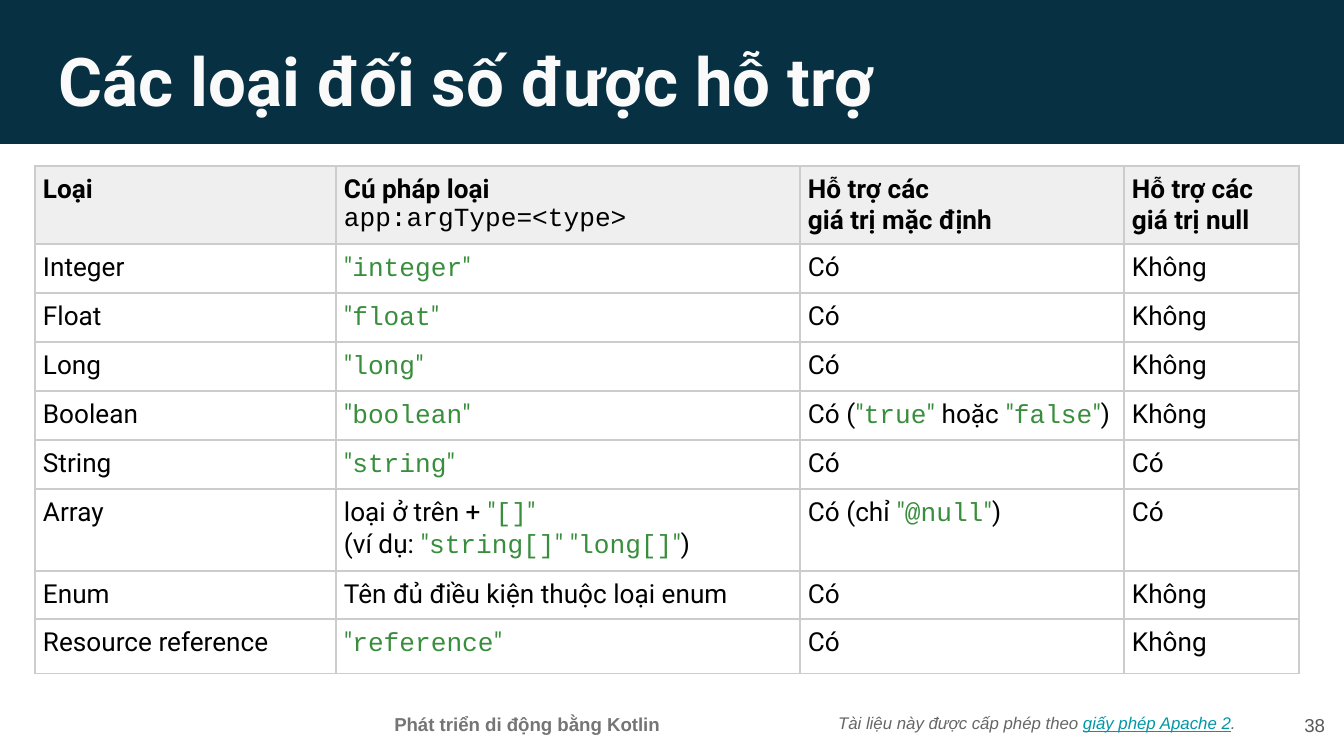
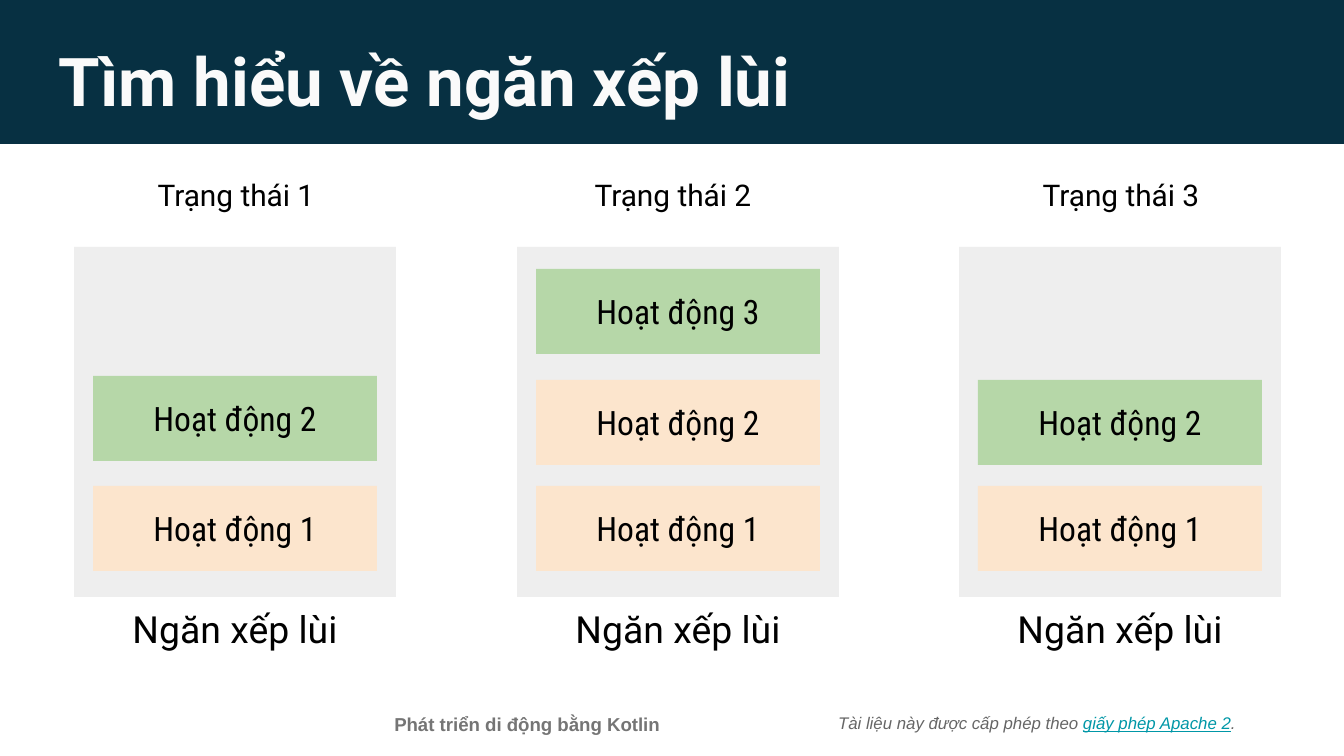
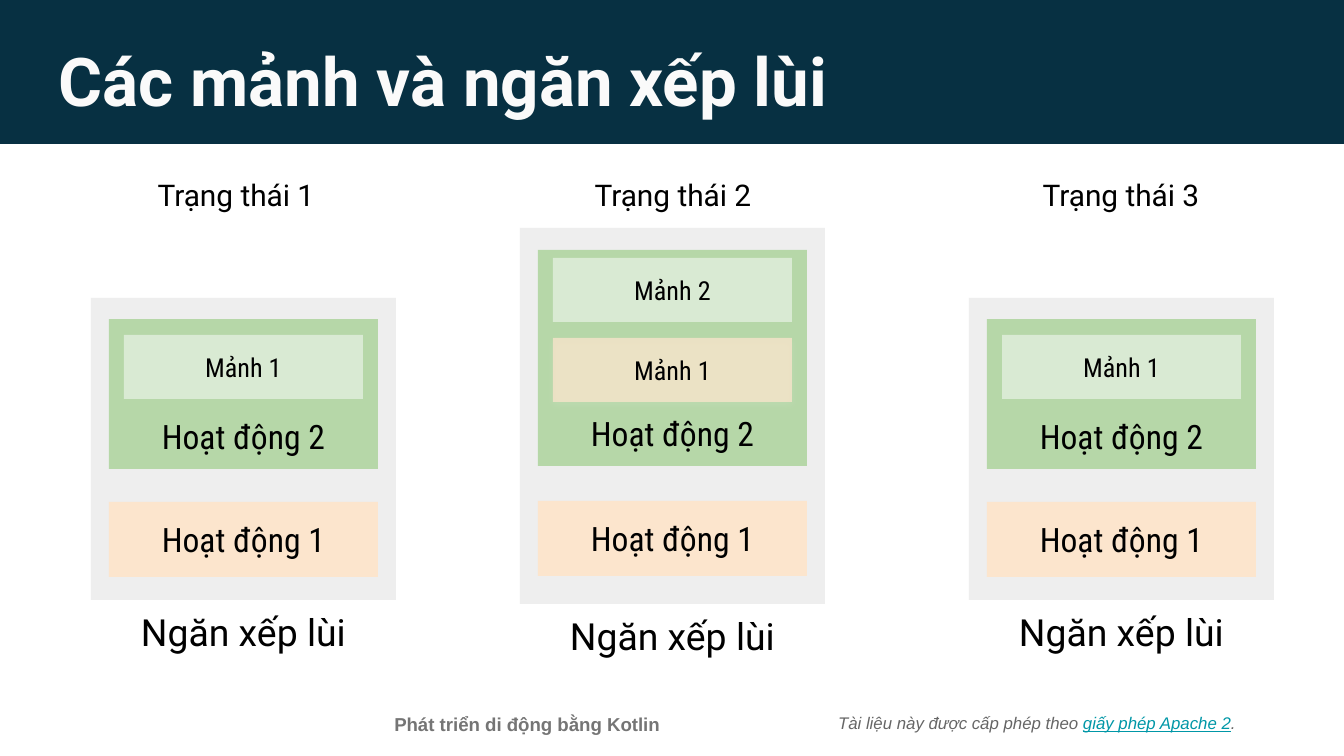
from lxml import etree
from pptx import Presentation
from pptx.dml.color import RGBColor
from pptx.enum.shapes import MSO_SHAPE
from pptx.enum.text import MSO_ANCHOR, MSO_AUTO_SIZE, PP_ALIGN
from pptx.oxml import parse_xml
from pptx.oxml.ns import nsdecls, qn
from pptx.util import Pt

PX = 914400 / 134.4
INSET = 13

NAVY = RGBColor(0x07, 0x30, 0x42)
WHITE = RGBColor(0xFA, 0xFA, 0xFA)
BLACK = RGBColor(0, 0, 0)
GREEN_TEXT = RGBColor(0x38, 0x8E, 0x3C)
TEAL = RGBColor(0x00, 0x97, 0xA7)
LICENCE_GREY = RGBColor(0x66, 0x66, 0x66)
FOOTER_GREY = RGBColor(0x75, 0x75, 0x75)
NUMBER_GREY = RGBColor(0x59, 0x59, 0x59)
HEADER_GREY = RGBColor(0xEF, 0xEF, 0xEF)
FRAME_GREY = RGBColor(0xEE, 0xEE, 0xEE)
BORDER_GREY = RGBColor(0xCC, 0xCC, 0xCC)
GREEN = RGBColor(0xB6, 0xD7, 0xA8)
PALE_GREEN = RGBColor(0xD9, 0xEA, 0xD3)
PEACH = RGBColor(0xFC, 0xE5, 0xCD)

BODY, NARROW, CODE, SMALL = "Roboto", "Roboto Condensed", "Courier New", "Arial"

FOOTER = "Phát triển di động bằng Kotlin"
LICENCE = [("Tài liệu này được cấp phép theo ", LICENCE_GREY),
           ("giấy phép Apache 2", TEAL), (".", LICENCE_GREY)]

ARGUMENTS_TITLE = "Các loại đối số được hỗ trợ"
PAGE_NUMBER = "38"
TYPE_SYNTAX = "app:argType=<type>"
ARGUMENTS = [
    ("Loại", "Cú pháp loại\n" + TYPE_SYNTAX,
     "Hỗ trợ các\ngiá trị mặc định", "Hỗ trợ các\ngiá trị null"),
    ("Integer", '"integer"', "Có", "Không"),
    ("Float", '"float"', "Có", "Không"),
    ("Long", '"long"', "Có", "Không"),
    ("Boolean", '"boolean"', 'Có ("true" hoặc "false")', "Không"),
    ("String", '"string"', "Có", "Có"),
    ("Array", 'loại ở trên + "[]"\n(ví dụ: "string[]" "long[]")',
     'Có (chỉ "@null")', "Có"),
    ("Enum", "Tên đủ điều kiện thuộc loại enum", "Có", "Không"),
    ("Resource reference", '"reference"', "Có", "Không"),
]
COLUMN_WIDTHS = [301, 464, 324, 175]
ROW_HEIGHTS = [78, 49, 49, 49, 49, 49, 82, 48, 55]

STATES = [("Trạng thái 1", 75), ("Trạng thái 2", 512), ("Trạng thái 3", 960)]
STACK_CAPTION = "Ngăn xếp lùi"
FRAGMENT_PAD, FRAGMENT_H = 15, 64

# Stack: left, top, height, activities
# Activity: name, top, height, colour, fragments (name, top, colour, opacity)
ACTIVITY_STACKS = {
    "title": "Tìm hiểu về ngăn xếp lùi",
    "width": 322, "pad": 19, "grouped": False,
    "stacks": [
        (74, 247, 350, [("Hoạt động 1", 486, 85, PEACH, []),
                        ("Hoạt động 2", 376, 85, GREEN, [])]),
        (517, 247, 350, [("Hoạt động 1", 486, 85, PEACH, []),
                         ("Hoạt động 2", 380, 85, PEACH, []),
                         ("Hoạt động 3", 269, 85, GREEN, [])]),
        (959, 247, 350, [("Hoạt động 1", 486, 85, PEACH, []),
                         ("Hoạt động 2", 380, 85, GREEN, [])]),
    ],
}
ONE_FRAGMENT = [("Hoạt động 1", 502, 75, PEACH, []),
                ("Hoạt động 2", 319, 150, GREEN, [("Mảnh 1", 335, PALE_GREEN, 100)])]
TWO_FRAGMENTS = [("Hoạt động 1", 501, 75, PEACH, []),
                 ("Hoạt động 2", 250, 216, GREEN, [("Mảnh 1", 338, PEACH, 74),
                                                  ("Mảnh 2", 258, PALE_GREEN, 100)])]
FRAGMENT_STACKS = {
    "title": "Các mảnh và ngăn xếp lùi",
    "width": 305, "pad": 18, "grouped": True,
    "stacks": [(91, 298, 302, ONE_FRAGMENT), (520, 228, 376, TWO_FRAGMENTS),
               (969, 298, 302, ONE_FRAGMENT)],
}


def px(*lengths):
    return [round(n * PX) for n in lengths]


def style(r, size, name, color, bold=False):
    r.font.size, r.font.name, r.font.bold = Pt(size), name, bold
    r.font.color.rgb = color


def set_frame(sp, anchor):
    tf = sp.text_frame
    tf.word_wrap = True
    tf.auto_size = MSO_AUTO_SIZE.NONE
    tf.vertical_anchor = anchor
    tf.margin_left = tf.margin_top = tf.margin_right = tf.margin_bottom = px(INSET)[0]
    return tf


def write(sp, text, size, name=BODY, color=BLACK, bold=False,
          align=PP_ALIGN.CENTER, anchor=MSO_ANCHOR.MIDDLE):
    tf = set_frame(sp, anchor)
    tf.text = text
    p = tf.paragraphs[0]
    p.alignment = align
    style(p.runs[0], size, name, color, bold)


def add_box(shapes, x, y, w, h, fill):
    sp = shapes.add_shape(MSO_SHAPE.RECTANGLE, *px(x, y, w, h))
    sp.shadow.inherit = False
    sp.fill.solid()
    sp.fill.fore_color.rgb = fill
    sp.line.fill.background()
    return sp


def add_label(shapes, x, y, w, h, text, size, **look):
    write(shapes.add_textbox(*px(x, y, w, h)), text, size, **look)


def make_translucent(sp, opacity):
    """Let the fill show through and add a faint white glow below."""
    color = sp.fill._xPr.find(qn("a:solidFill"))[0]
    etree.SubElement(color, qn("a:alpha")).set("val", str(opacity * 1000))
    sp._element.spPr.find(qn("a:effectLst")).append(parse_xml(
        f'<a:outerShdw {nsdecls("a")} blurRad="{Pt(4.5)}" dist="{Pt(1.5)}" dir="5400000">'
        '<a:srgbClr val="FFFFFF"><a:alpha val="12000"/></a:srgbClr></a:outerShdw>'))


def add_slide(prs, title):
    s = prs.slides.add_slide(prs.slide_layouts[5])
    sp = s.shapes.title
    sp.left, sp.top, sp.width, sp.height = px(46, 26, 1253, 85)
    write(sp, title, 36, color=WHITE, bold=True,
          align=PP_ALIGN.LEFT, anchor=MSO_ANCHOR.TOP)
    return s


def move_to_layout(s):
    """Draw the band and footers, then hand them to the layout all slides use."""
    licence = s.shapes.add_textbox(*px(825, 691, 457, 63))
    p = set_frame(licence, MSO_ANCHOR.MIDDLE).paragraphs[0]
    for text, color in LICENCE:
        r = p.add_run()
        r.text = text
        style(r, 9, SMALL, color)
        r.font.italic = True
        r.font.underline = color == TEAL
    band = add_box(s.shapes, -1, -5, 1346, 149, NAVY)
    footer = s.shapes.add_textbox(*px(337, 700, 380, 43))
    write(footer, FOOTER, 10, SMALL, FOOTER_GREY, bold=True, anchor=MSO_ANCHOR.TOP)
    for sp in (licence, band, footer):
        s.slide_layout.shapes._spTree.append(sp._element)


def fill_cell(cell, text, header):
    cell.margin_left = cell.margin_top = cell.margin_right = cell.margin_bottom = px(8)[0]
    tf = cell.text_frame
    for i, line in enumerate(text.split("\n")):
        p = tf.add_paragraph() if i else tf.paragraphs[0]
        for j, part in enumerate(line.split('"')):
            quoted = j % 2 == 1
            pieces = ['"', part, '"'] if quoted else [part] if part else []
            for piece in pieces:
                r = p.add_run()
                r.text = piece
                is_code = piece == TYPE_SYNTAX or (quoted and piece != '"')
                style(r, 14, CODE if is_code else BODY,
                      GREEN_TEXT if quoted else BLACK, header and not is_code)
    tcPr = cell._tc.get_or_add_tcPr()
    for side in "LRTB":
        tcPr.append(parse_xml(
            f'<a:ln{side} {nsdecls("a")} w="{Pt(0.75)}"><a:solidFill>'
            f'<a:srgbClr val="{BORDER_GREY}"/></a:solidFill></a:ln{side}>'))
    if header:
        cell.fill.solid()
        cell.fill.fore_color.rgb = HEADER_GREY
    else:
        cell.fill.background()


def add_arguments(s):
    add_label(s.shapes, 1257, 696, 81, 58, PAGE_NUMBER, 10, name=SMALL,
              color=NUMBER_GREY, align=PP_ALIGN.RIGHT)
    table = s.shapes.add_table(
        len(ARGUMENTS), len(COLUMN_WIDTHS),
        *px(35, 166, sum(COLUMN_WIDTHS), sum(ROW_HEIGHTS))).table
    table.first_row = table.horz_banding = False
    for column, w in zip(table.columns, px(*COLUMN_WIDTHS)):
        column.width = w
    for i, (row, h) in enumerate(zip(table.rows, px(*ROW_HEIGHTS))):
        row.height = h
        for cell, text in zip(row.cells, ARGUMENTS[i]):
            fill_cell(cell, text, header=i == 0)


def add_stack(shapes, x, y, w, h, pad, activities):
    add_box(shapes, x, y, w, h, FRAME_GREY)
    add_label(shapes, x, y + h + 11, w, 42, STACK_CAPTION, 20)
    box_x, box_w = x + pad, w - 2 * pad
    for name, top, height, color, fragments in activities:
        sp = add_box(shapes, box_x, top, box_w, height, color)
        write(sp, name, 18, NARROW,
              anchor=MSO_ANCHOR.BOTTOM if fragments else MSO_ANCHOR.MIDDLE)
        for fragment, fragment_top, fragment_color, opacity in fragments:
            sp = add_box(shapes, box_x + FRAGMENT_PAD, fragment_top,
                         box_w - 2 * FRAGMENT_PAD, FRAGMENT_H, fragment_color)
            write(sp, fragment, 14, NARROW)
            if opacity < 100:
                make_translucent(sp, opacity)


def add_stacks(s, diagram):
    for x, y, h, activities in diagram["stacks"]:
        shapes = s.shapes.add_group_shape().shapes if diagram["grouped"] else s.shapes
        add_stack(shapes, x, y, diagram["width"], h, diagram["pad"], activities)
    for state, x in STATES:
        add_label(s.shapes, x, 179, 322, 32, state, 16)


def main():
    prs = Presentation()
    prs.slide_width, prs.slide_height = px(1344, 756)
    s = add_slide(prs, ARGUMENTS_TITLE)
    move_to_layout(s)
    add_arguments(s)
    for diagram in (ACTIVITY_STACKS, FRAGMENT_STACKS):
        add_stacks(add_slide(prs, diagram["title"]), diagram)
    prs.save("out.pptx")


if __name__ == "__main__":
    main()
